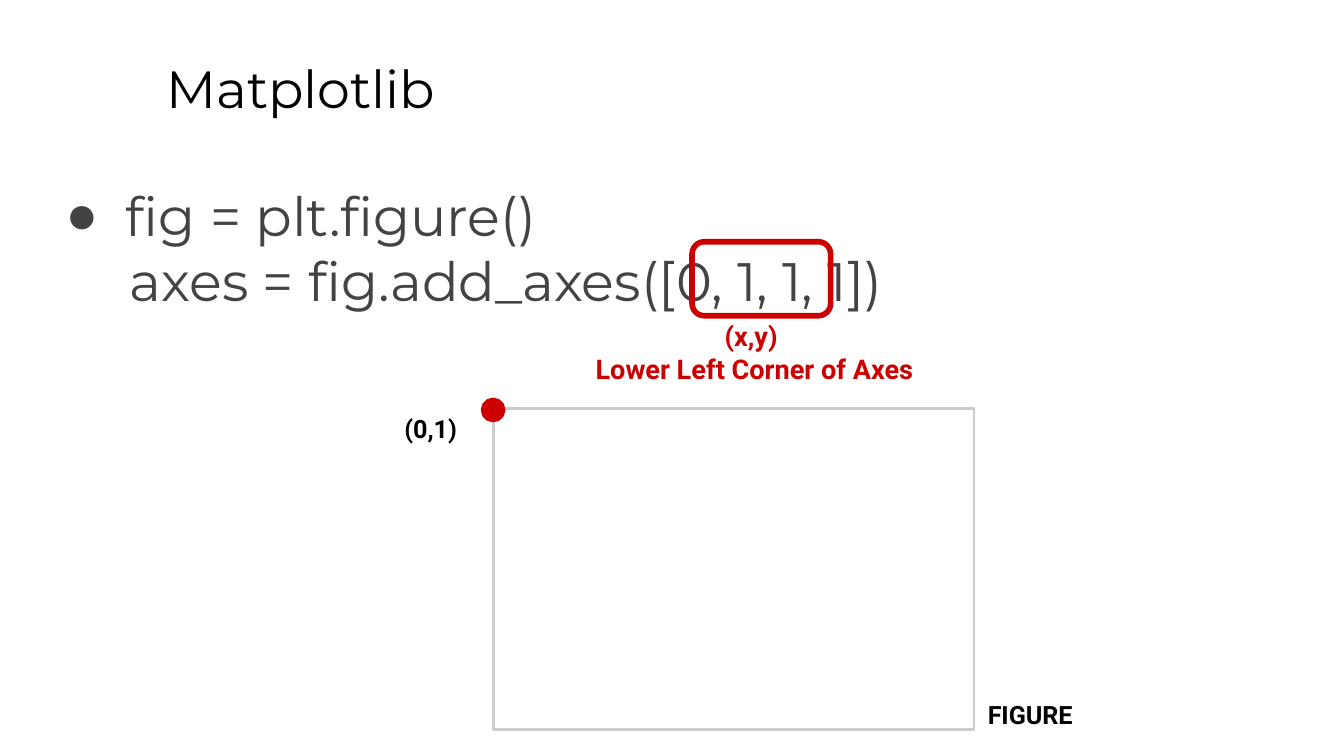
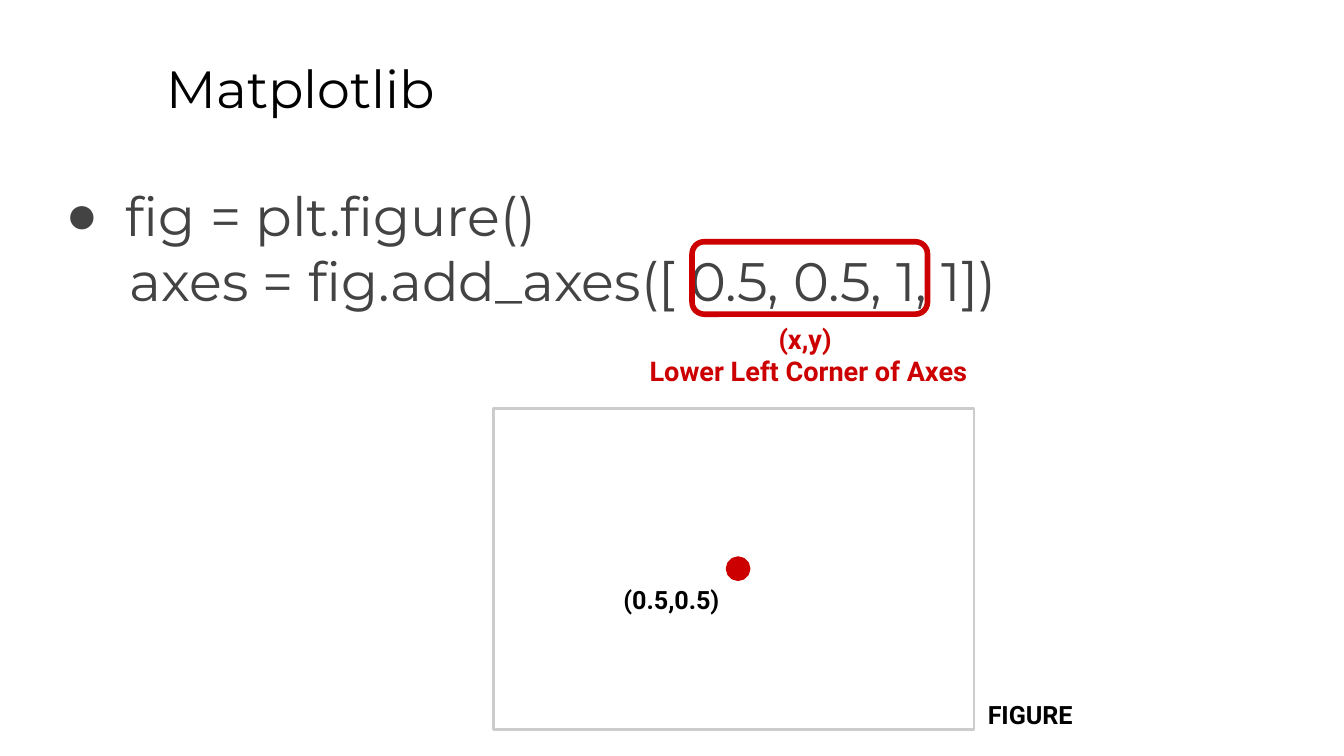
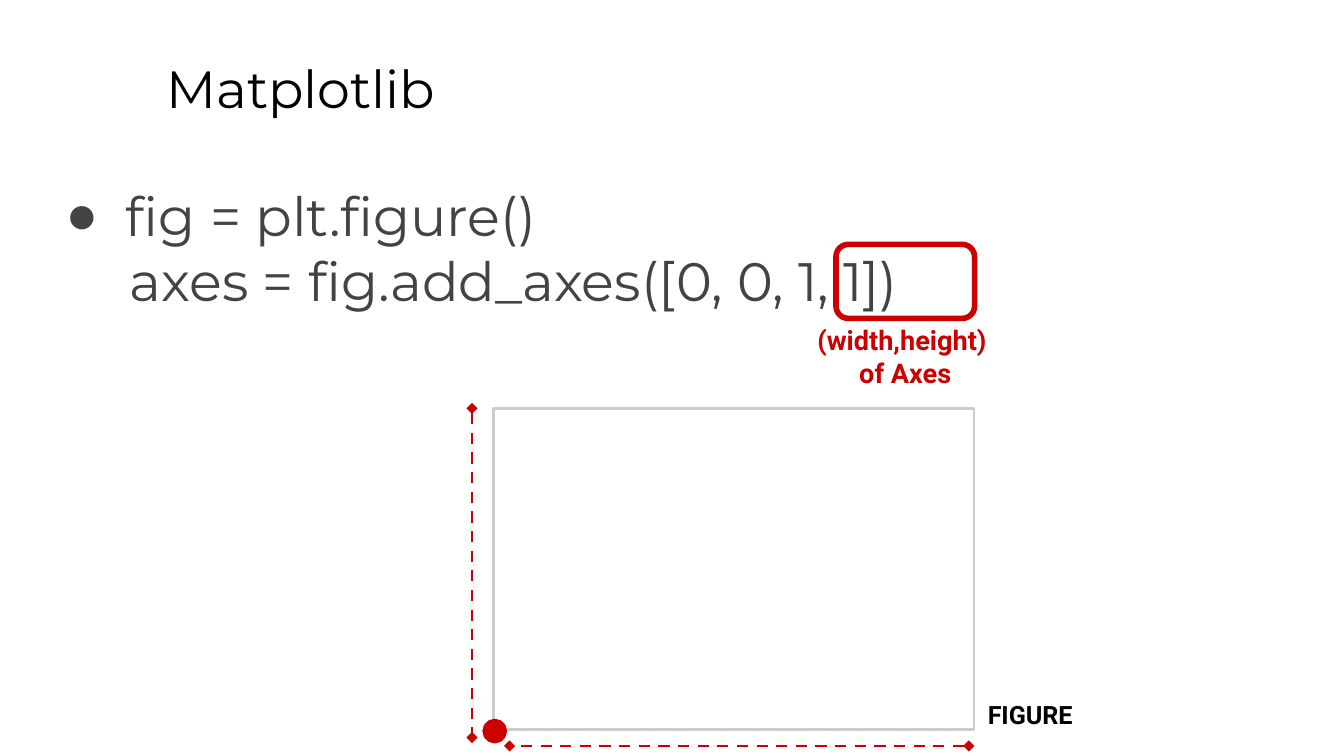
"""Build three slides that explain the add_axes arguments."""

from lxml.etree import SubElement
from pptx import Presentation
from pptx.dml.color import RGBColor
from pptx.enum.dml import MSO_LINE
from pptx.enum.shapes import MSO_CONNECTOR, MSO_SHAPE
from pptx.enum.text import MSO_ANCHOR, MSO_AUTO_SIZE, PP_ALIGN
from pptx.oxml.ns import qn
from pptx.util import Cm, Pt


class Deck:
    colors = {"ink": "000000", "code": "434343", "frame": "CCCCCC", "accent": "CC0000"}
    code_font = "Montserrat"
    label_font = "Roboto"
    inset = Cm(0.25)
    dot_size = 0.36

    def __init__(self):
        self.presentation = Presentation()
        self.presentation.slide_width = Cm(25.4)
        self.presentation.slide_height = Cm(14.29)
        self.slide = None

    def color(self, name):
        return RGBColor.from_string(self.colors[name])

    def set_text(self, holder, text, size, font, color, bold=False, align=PP_ALIGN.LEFT, spacing=1.0):
        frame = holder.text_frame
        frame.text = text
        frame.word_wrap = True
        frame.auto_size = MSO_AUTO_SIZE.NONE
        frame.vertical_anchor = MSO_ANCHOR.TOP
        frame.margin_left = frame.margin_right = self.inset
        frame.margin_top = frame.margin_bottom = self.inset
        for paragraph in frame.paragraphs:
            paragraph.alignment = align
            paragraph.line_spacing = spacing
            paragraph.space_before = Pt(0)
            for run in paragraph.runs:
                run.font.size = Pt(size)
                run.font.name = font
                run.font.bold = bold
                run.font.color.rgb = self.color(color)
        return frame.paragraphs

    def place(self, holder, left, top, width, height):
        holder.left, holder.top = Cm(left), Cm(top)
        holder.width, holder.height = Cm(width), Cm(height)

    def new_slide(self, title):
        self.slide = self.presentation.slides.add_slide(self.presentation.slide_layouts[1])
        heading = self.slide.shapes.title
        self.place(heading, 2.9, 0.81, 21.64, 1.6)
        self.set_text(heading, title, 28, self.code_font, "ink")

    def code(self, first_line, second_line):
        body = self.slide.placeholders[1]
        self.place(body, 0.86, 3.2, 24.13, 9.5)
        bulleted, continued = self.set_text(
            body, f"{first_line}\n{second_line}", 29, self.code_font, "code")
        properties = bulleted._p.get_or_add_pPr()
        properties.set("marL", str(Cm(1.27)))
        properties.set("indent", str(Cm(-1.14)))
        bullet_color = SubElement(properties, qn("a:buClr"))
        SubElement(bullet_color, qn("a:srgbClr"), val=self.colors["code"])
        SubElement(properties, qn("a:buChar"), char="●")
        properties = continued._p.get_or_add_pPr()
        properties.set("marL", str(Cm(1.34)))
        properties.set("indent", "0")
        SubElement(properties, qn("a:buNone"))

    def outline(self, preset, left, top, width, height, color, weight):
        shape = self.slide.shapes.add_shape(preset, Cm(left), Cm(top), Cm(width), Cm(height))
        shape.shadow.inherit = False
        shape.fill.background()
        shape.line.color.rgb = self.color(color)
        shape.line.width = Pt(weight)
        return shape

    def highlight(self, left, top, width, height):
        self.outline(MSO_SHAPE.ROUNDED_RECTANGLE, left, top, width, height, "accent", 3)

    def dot(self, center_x, center_y):
        size = self.dot_size
        marker = self.outline(MSO_SHAPE.OVAL, center_x - size / 2, center_y - size / 2,
                              size, size, "accent", 3)
        marker.fill.solid()
        marker.fill.fore_color.rgb = self.color("accent")

    def label(self, text, left, top, width=3.48, size=13.5, color="ink", spacing=1.0):
        box = self.slide.shapes.add_textbox(Cm(left), Cm(top), Cm(width), Cm(0.89))
        self.set_text(box, text, size, self.label_font, color, True, PP_ALIGN.CENTER, spacing)

    def caption(self, text, left, top):
        self.label(text, left, top, 7.44, 14.5, "accent")

    def figure(self):
        self.outline(MSO_SHAPE.RECTANGLE, 9.32, 7.72, 9.09, 6.07, "frame", 1.5)
        self.label("FIGURE", 17.73, 12.88, spacing=1.15)

    def measure(self, start_x, start_y, end_x, end_y):
        extent = self.slide.shapes.add_connector(
            MSO_CONNECTOR.STRAIGHT, Cm(start_x), Cm(start_y), Cm(end_x), Cm(end_y))
        extent.line.color.rgb = self.color("accent")
        extent.line.width = Pt(1.5)
        extent.line.dash_style = MSO_LINE.DASH
        properties = extent._element.spPr
        stroke = properties.find(qn("a:ln"))
        for end in ("a:headEnd", "a:tailEnd"):
            SubElement(stroke, qn(end), type="diamond")
        SubElement(properties, qn("a:effectLst"))

    def axes_slide(self, arguments, highlight, dot, caption, caption_at):
        self.new_slide("Matplotlib")
        self.code("fig = plt.figure()", f"axes = fig.add_axes([{arguments}])")
        self.figure()
        self.highlight(*highlight)
        self.dot(*dot)
        self.caption(caption, *caption_at)


corner = "(x,y) \nLower Left Corner of Axes"
deck = Deck()

deck.axes_slide("0, 1, 1, 1", (13.08, 4.57, 2.62, 1.4), (9.32, 7.75), corner, (10.54, 5.79))
deck.label("(0,1)", 6.4, 7.57)

deck.axes_slide(" 0.5, 0.5, 1, 1", (13.08, 4.57, 4.45, 1.37), (13.95, 10.75), corner, (11.56, 5.84))
deck.label("(0.5,0.5)", 10.95, 10.8)

deck.axes_slide("0, 0, 1, 1", (15.8, 4.62, 2.62, 1.4), (9.35, 13.82),
                "(width,height) \nof Axes", (13.39, 5.87))
deck.measure(8.92, 7.72, 8.92, 13.94)
deck.measure(18.31, 14.1, 9.63, 14.1)

deck.presentation.save("out.pptx")
